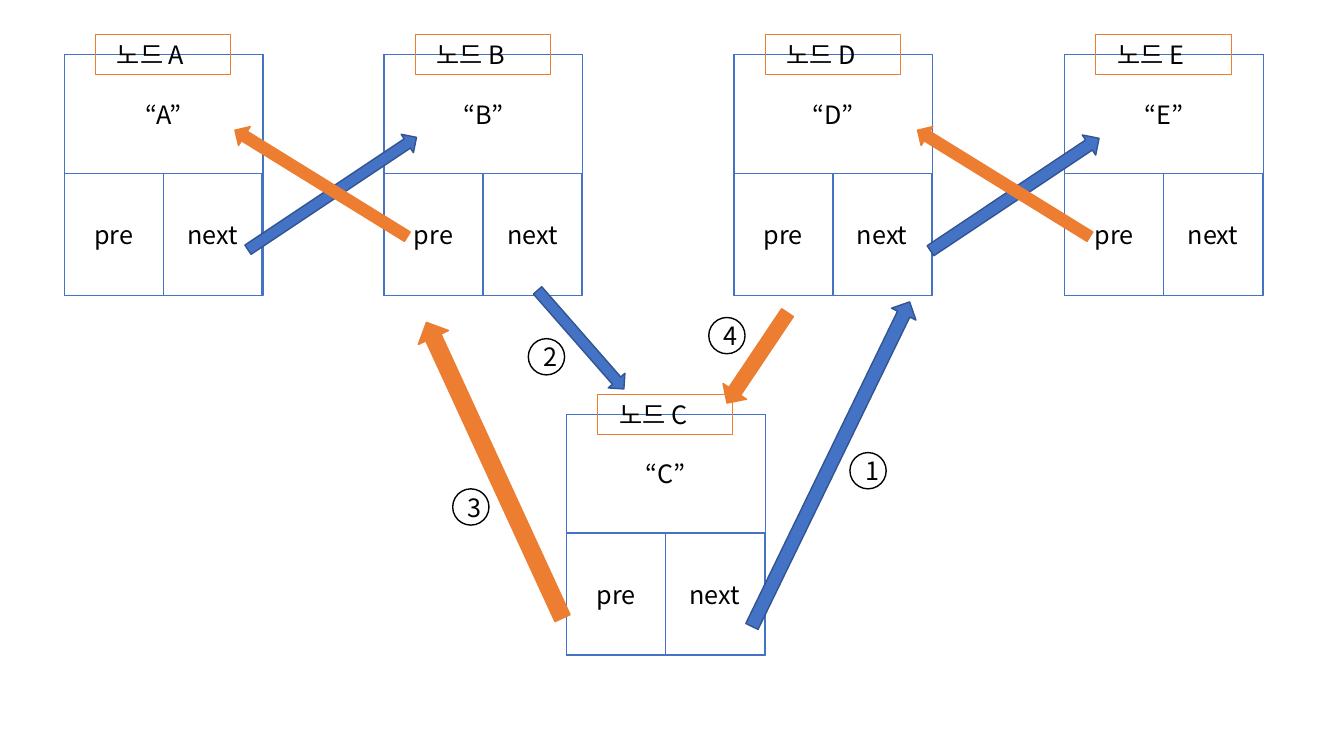
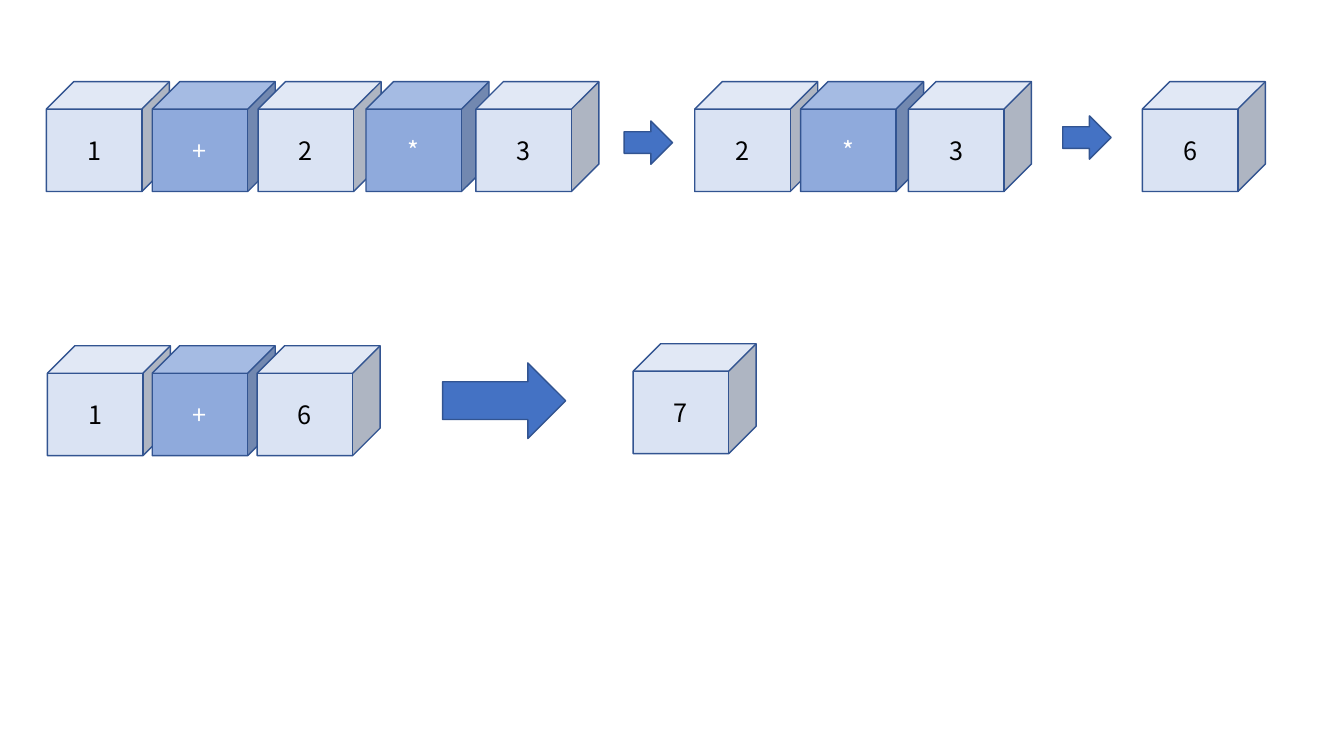
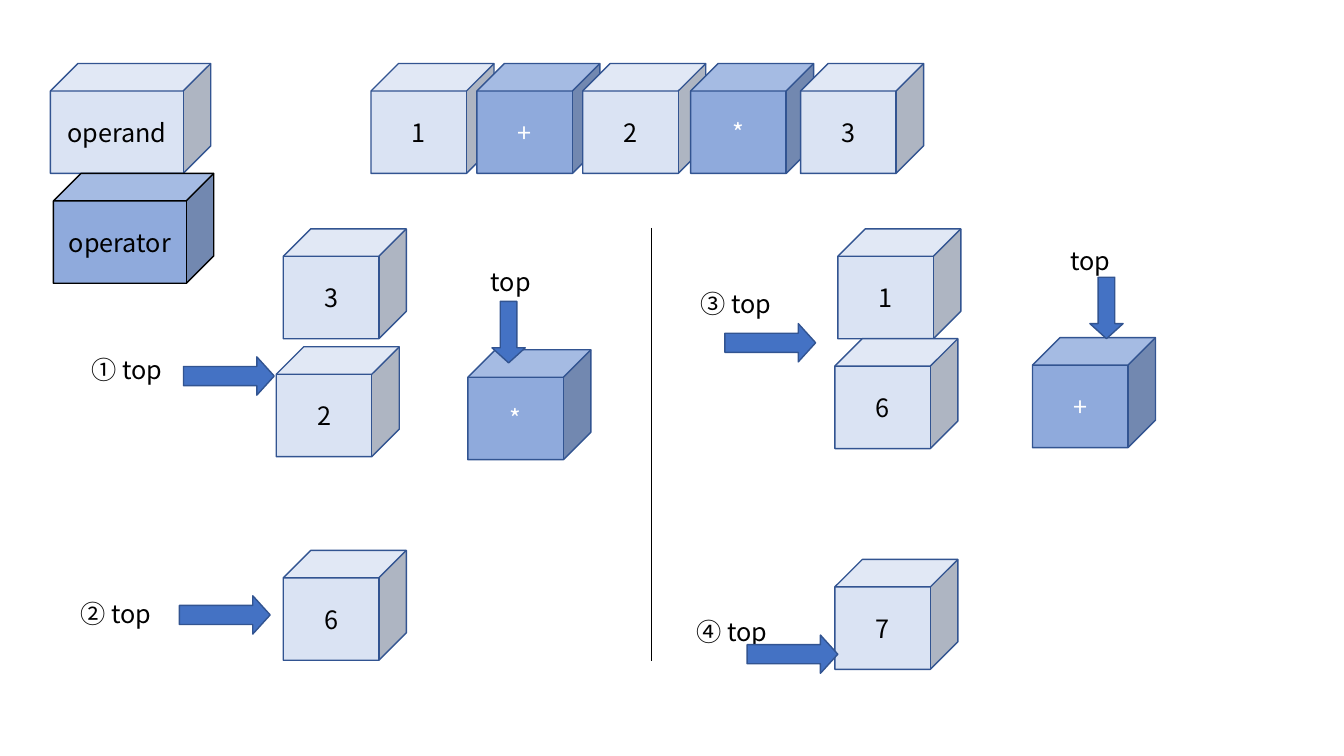
from lxml import etree
from pptx import Presentation
from pptx.dml.color import RGBColor
from pptx.enum import shapes, text
from pptx.oxml.ns import qn
from pptx.util import Inches, Pt

FONT = "Noto Sans CJK KR"
FONT_SIZE = 18
COLORS = {
    "white": "FFFFFF", "black": "000000",
    "blue": "4472C4", "navy": "325491", "orange": "ED7D31",
    "operand": "DAE3F3", "operator": "8FAADC",
}
KINDS = shapes.MSO_SHAPE
CUBE_WIDTH, CUBE_HEIGHT = 1.22, 1.09
LONG_ROW = (0, 1.05, 2.1, 3.17, 4.26)


def color(name):
    return RGBColor.from_string(COLORS[name])


class Deck:
    def __init__(self):
        self.presentation = Presentation()
        self.presentation.slide_width = Inches(13.33)
        self.presentation.slide_height = Inches(7.5)
        self.slide = None

    def new_slide(self):
        layout = self.presentation.slide_layouts[6]
        self.slide = self.presentation.slides.add_slide(layout)

    def set_text(self, shape, words, font_color="black", align=text.PP_ALIGN.CENTER):
        shape.text_frame.word_wrap = True
        paragraph = shape.text_frame.paragraphs[0]
        paragraph.text = words
        paragraph.alignment = align
        paragraph.font.size = Pt(FONT_SIZE)
        paragraph.font.color.rgb = color(font_color)
        paragraph.font.name = FONT
        # East Asian typeface for Hangul and circled digits
        properties = paragraph._p.pPr.find(qn("a:defRPr"))
        etree.SubElement(properties, qn("a:ea"), typeface=FONT)

    def shape(self, kind, left, top, width, height, fill, line,
              words="", font_color="black", line_width=1):
        shape = self.slide.shapes.add_shape(
            kind, Inches(left), Inches(top), Inches(width), Inches(height))
        shape.shadow.inherit = False
        if fill:
            shape.fill.solid()
            shape.fill.fore_color.rgb = color(fill)
        else:
            shape.fill.background()
        shape.line.color.rgb = color(line)
        shape.line.width = Pt(line_width)
        if words:
            self.set_text(shape, words, font_color)
        return shape

    def label(self, words, left, top):
        box = self.slide.shapes.add_textbox(
            Inches(left), Inches(top), Inches(1.19), Inches(0.4))
        self.set_text(box, words, align=text.PP_ALIGN.LEFT)

    def node(self, name, left, top):
        def cell(x, y, width, height, words=""):
            self.shape(KINDS.RECTANGLE, left + x, top + y, width, height,
                       "white", "blue", words)

        cell(0, 0, 1.97, 2.39)
        cell(0, 1.18, 0.98, 1.21, "pre")
        cell(0.98, 1.18, 0.98, 1.21, "next")
        cell(0, 0, 1.97, 1.18, f"“{name}”")
        tag = self.shape(KINDS.RECTANGLE, left + 0.31, top - 0.2, 1.34, 0.4,
                         None, "orange", line_width=0.75)
        self.set_text(tag, f"노드 {name}", align=text.PP_ALIGN.LEFT)
        tag.text_frame.margin_left = Inches(0.21)
        tag.text_frame.vertical_anchor = text.MSO_ANCHOR.TOP

    def arrow(self, left, top, width, height, rotation=0, fill="blue"):
        line = "navy" if fill == "blue" else fill
        arrow = self.shape(KINDS.RIGHT_ARROW, left, top, width, height, fill, line)
        arrow.rotation = rotation

    def pointer(self, left, top, width, height, rotation=0):
        pointer = self.shape(KINDS.DOWN_ARROW, left, top, width, height, "blue", "navy")
        pointer.adjustments[1] = 0.453
        pointer.rotation = rotation

    def step(self, number, left, top):
        self.shape(KINDS.OVAL, left, top, 0.36, 0.36, "white", "black", number)

    def cube(self, symbol, left, top):
        fill, font_color = (
            ("operator", "white") if symbol in "+*" else ("operand", "black"))
        self.shape(KINDS.CUBE, left, top, CUBE_WIDTH, CUBE_HEIGHT,
                   fill, "navy", symbol, font_color)

    def cube_row(self, symbols, left, top, offsets):
        for symbol, offset in zip(symbols, offsets):
            self.cube(symbol, left + offset, top)

    def divider(self, x, top, bottom):
        line = self.slide.shapes.add_connector(
            shapes.MSO_CONNECTOR.STRAIGHT, Inches(x), Inches(top), Inches(x), Inches(bottom))
        line.line.color.rgb = color("black")
        line.line.width = Pt(0.5)
        etree.SubElement(line._element.spPr, qn("a:effectLst"))


deck = Deck()

# Slide 1: inserting a node into a doubly linked list
deck.new_slide()
for name, left, top in (("A", 0.64, 0.54), ("B", 3.81, 0.54), ("D", 7.28, 0.54),
                        ("E", 10.56, 0.54), ("C", 5.62, 4.11)):
    deck.node(name, left, top)

# Existing links
deck.arrow(2.29, 1.81, 2.01, 0.22, 326.3)
deck.arrow(9.06, 1.81, 2.01, 0.24, 326.3)
for left in (2.18, 8.95):
    deck.arrow(left, 1.71, 2.01, 0.22, 211.7, "orange")

# New links and their order
deck.arrow(3.29, 4.5, 3.23, 0.33, 245.3, "orange")
deck.arrow(6.97, 3.41, 1.08, 0.28, 123.8, "orange")
deck.arrow(6.45, 4.47, 3.58, 0.27, 295.9)
deck.arrow(5.11, 3.26, 1.3, 0.22, 48.8)
for number, left, top in (("1", 8.43, 4.49), ("3", 4.49, 4.85),
                          ("2", 5.24, 3.36), ("4", 7.03, 3.15)):
    deck.step(number, left, top)

# Slide 2: reducing an expression
deck.new_slide()
deck.cube_row("1+2*3", 0.46, 0.81, LONG_ROW)
deck.cube_row("2*3", 6.89, 0.81, (0, 1.05, 2.12))
deck.arrow(6.19, 1.2, 0.48, 0.43)
deck.arrow(10.54, 1.15, 0.48, 0.43)
deck.cube("6", 11.33, 0.81)
deck.cube_row("1+6", 0.47, 3.43, (0, 1.04, 2.08))
deck.arrow(4.39, 3.6, 1.22, 0.75)
deck.cube("7", 6.28, 3.41)

# Slide 3: operand and operator stacks
deck.new_slide()
deck.cube_row("1+2*3", 3.68, 0.63, LONG_ROW)

# Legend
deck.shape(KINDS.CUBE, 0.5, 0.63, 1.59, CUBE_HEIGHT, "operand", "navy", "operand")
deck.shape(KINDS.CUBE, 0.53, 1.72, 1.59, CUBE_HEIGHT, "operator", "black", "operator")
deck.divider(6.46, 2.26, 6.56)

# Stack contents
for symbol, left, top in (("3", 2.81, 2.27), ("6", 2.81, 5.46), ("2", 2.74, 3.44),
                          ("*", 4.64, 3.47), ("1", 8.31, 2.27), ("6", 8.28, 3.36),
                          ("+", 10.24, 3.35), ("7", 8.28, 5.55)):
    deck.cube(symbol, left, top)

# Top labels and pointers
for words, left, top in (("① top", 0.81, 3.47), ("② top", 0.7, 5.89),
                         ("③ top", 6.85, 2.81), ("④ top", 6.81, 6.07),
                         ("top", 4.77, 2.59), ("top", 10.52, 2.38)):
    deck.label(words, left, top)
for left, top in ((2.08, 3.28), (2.04, 5.65), (7.45, 2.95), (7.67, 6.04)):
    deck.pointer(left, top, 0.38, 0.9, 270)
for left, top in ((10.81, 2.75), (4.88, 2.99)):
    deck.pointer(left, top, 0.33, 0.61)

deck.presentation.save("out.pptx")
